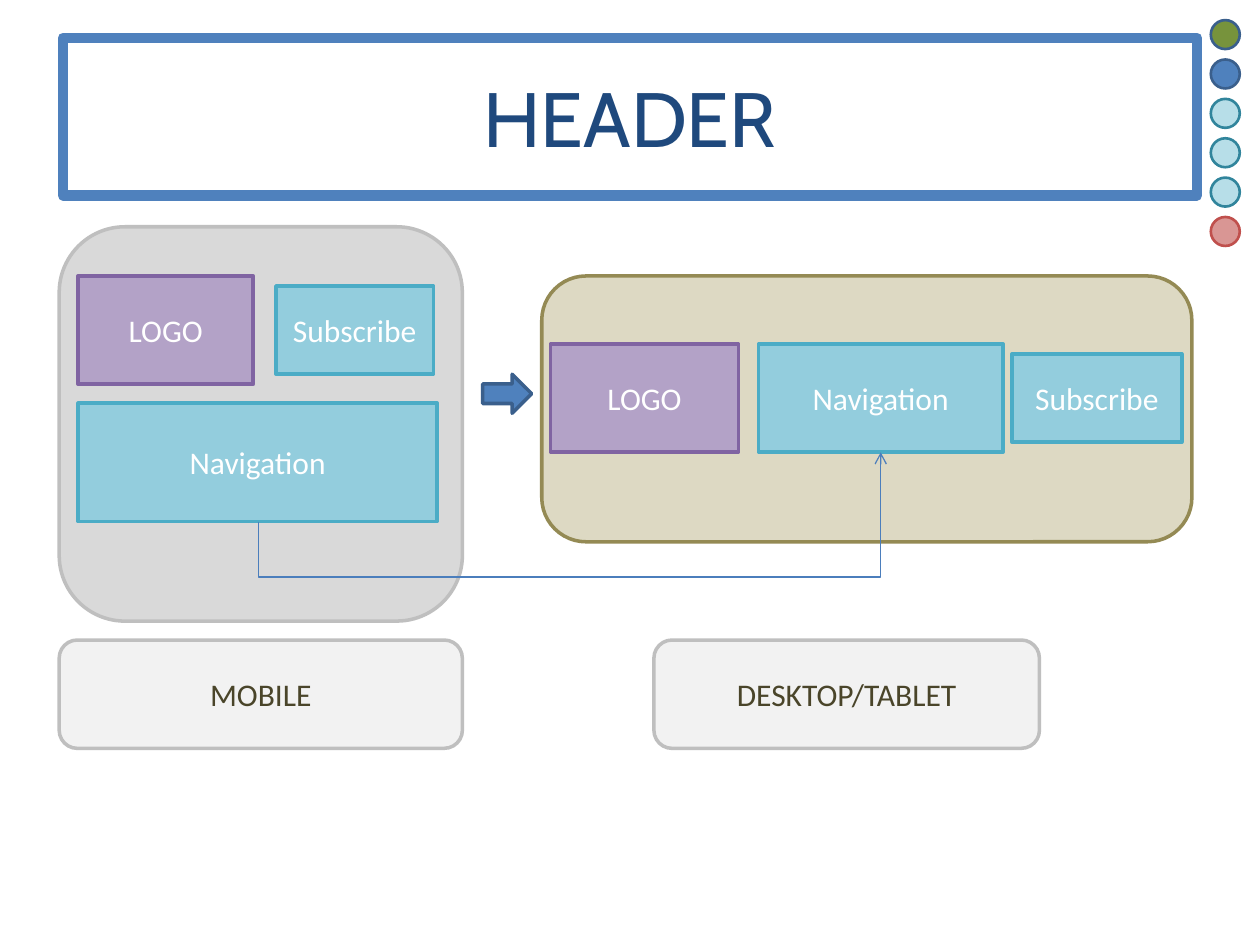
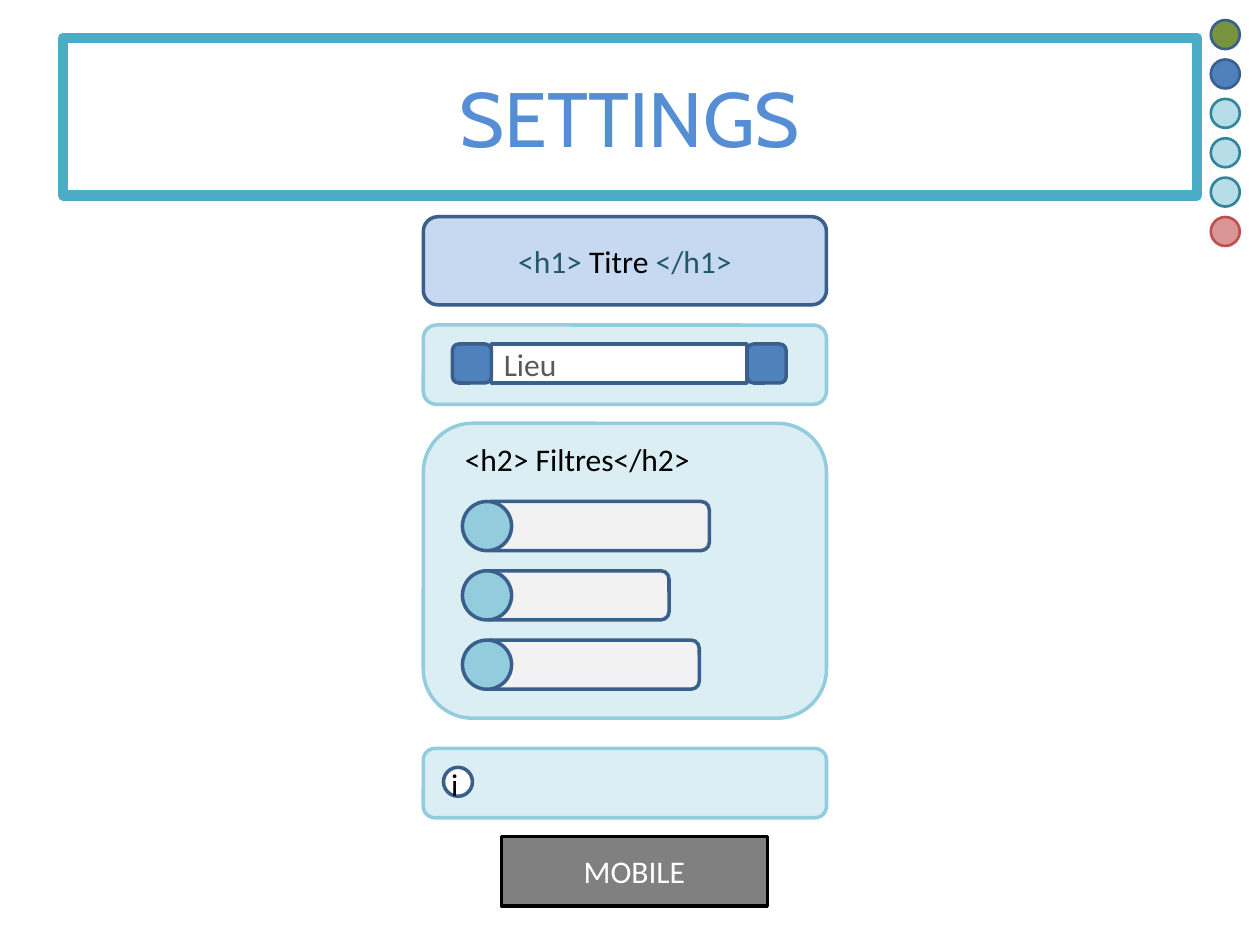
from lxml.etree import SubElement
from pptx import Presentation
from pptx.dml.color import RGBColor
from pptx.enum.shapes import MSO_CONNECTOR, MSO_SHAPE
from pptx.enum.text import MSO_ANCHOR, PP_ALIGN
from pptx.oxml.ns import qn
from pptx.util import Inches, Pt

RECT, ROUND = MSO_SHAPE.RECTANGLE, MSO_SHAPE.ROUNDED_RECTANGLE
OVAL, ARROW = MSO_SHAPE.OVAL, MSO_SHAPE.RIGHT_ARROW

WHITE = RGBColor(0xFF, 0xFF, 0xFF)
BLACK = RGBColor(0, 0, 0)
BLUE = RGBColor(0x4F, 0x81, 0xBD)
BLUE_EDGE = RGBColor(0x3A, 0x5F, 0x8C)
CONNECTOR_BLUE = RGBColor(0x4B, 0x7E, 0xBC)
NAVY = RGBColor(0x1F, 0x49, 0x7D)
SKY = RGBColor(0x55, 0x8E, 0xD5)
PALE_BLUE = RGBColor(0xC6, 0xD9, 0xF1)
AQUA = RGBColor(0x4B, 0xAC, 0xC6)
AQUA_MID = RGBColor(0x93, 0xCD, 0xDD)
AQUA_LIGHT = RGBColor(0xB7, 0xDE, 0xE8)
AQUA_PALE = RGBColor(0xDB, 0xEE, 0xF4)
AQUA_DARK = RGBColor(0x31, 0x85, 0x9C)
TEAL = RGBColor(0x21, 0x59, 0x68)
GREEN = RGBColor(0x77, 0x93, 0x3C)
PINK = RGBColor(0xD9, 0x96, 0x94)
RED = RGBColor(0xC0, 0x50, 0x4D)
LILAC = RGBColor(0xB3, 0xA2, 0xC7)
PURPLE = RGBColor(0x80, 0x64, 0xA2)
TAN = RGBColor(0xDD, 0xD9, 0xC3)
OLIVE = RGBColor(0x94, 0x8A, 0x54)
DARK_OLIVE = RGBColor(0x4A, 0x45, 0x2A)
OFF_WHITE = RGBColor(0xF2, 0xF2, 0xF2)
LIGHT_GREY = RGBColor(0xD9, 0xD9, 0xD9)
EDGE_GREY = RGBColor(0xBF, 0xBF, 0xBF)
GREY = RGBColor(0x80, 0x80, 0x80)
TEXT_GREY = RGBColor(0x59, 0x59, 0x59)

DOTS = [(GREEN, BLUE_EDGE), (BLUE, BLUE_EDGE), *[(AQUA_LIGHT, AQUA_DARK)] * 3, (PINK, RED)]


def write(sp, *runs, size=18, font="Calibri", align=PP_ALIGN.CENTER, anchor=MSO_ANCHOR.MIDDLE):
    """Fill a shape with one paragraph of (text, colour) runs."""
    tf = sp.text_frame
    tf.word_wrap = True
    tf.vertical_anchor = anchor
    p = tf.paragraphs[0]
    p.alignment = align
    for text, color in runs:
        r = p.add_run()
        r.text = text
        r.font.size, r.font.name = Pt(size), font
        r.font.color.rgb = color


def add_box(parent, kind, x, y, w, h, fill, line, *runs, weight=2, **style):
    sp = parent.shapes.add_shape(kind, Inches(x), Inches(y), Inches(w), Inches(h))
    sp.shadow.inherit = False
    sp.fill.solid()
    sp.fill.fore_color.rgb = fill
    sp.line.color.rgb = line
    sp.line.width = Pt(weight)
    if runs:
        write(sp, *runs, **style)
    return sp


def add_label(parent, x, y, w, h, text):
    sp = parent.shapes.add_textbox(Inches(x), Inches(y), Inches(w), Inches(h))
    write(sp, (text, BLACK), align=PP_ALIGN.LEFT, anchor=MSO_ANCHOR.TOP)


def add_title(s, text, color, line):
    add_box(s, RECT, 0.5, 0.3, 9, 1.25, WHITE, line, (text, color),
            weight=6, size=44, font="Cabin")


def add_dots(s, x=9.61, y=0.16, step=0.3125):
    for i, (fill, line) in enumerate(DOTS):
        add_box(s, OVAL, x, y + i * step, 0.23, 0.23, fill, line, weight=1.5)


# Parts of the page header wireframe
def add_logo(parent, x, y, w):
    add_box(parent, RECT, x, y, w, 0.86, LILAC, PURPLE, ("LOGO", WHITE))


def add_control(parent, x, y, w, h, text):
    add_box(parent, RECT, x, y, w, h, AQUA_MID, AQUA, (text, WHITE))


def add_device_name(parent, x, y, w, text):
    add_box(parent, ROUND, x, y, w, 0.86, OFF_WHITE, EDGE_GREY, (text, DARK_OLIVE))


def add_mobile(s, x, y, w, h):
    group = s.shapes.add_group_shape()
    add_box(group, ROUND, x, y, w, h, LIGHT_GREY, EDGE_GREY)
    add_logo(group, x + 0.15, y + 0.39, 1.39)
    add_control(group, x + 1.72, y + 0.47, 1.25, 0.7, "Subscribe")
    add_control(group, x + 0.15, y + 1.4, 2.85, 0.94, "Navigation")
    add_device_name(group, x, y + h + 0.15, w, "MOBILE")


def add_desktop(s, x, y, w, h):
    group = s.shapes.add_group_shape()
    add_box(group, ROUND, x, y, w, h, TAN, OLIVE)
    add_logo(group, x + 0.07, y + 0.54, 1.49)
    add_control(group, x + 3.73, y + 0.62, 1.35, 0.7, "Subscribe")
    add_control(group, x + 1.72, y + 0.54, 1.94, 0.86, "Navigation")
    add_device_name(group, x + 0.89, y + h + 0.78, 3.06, "DESKTOP/TABLET")


def add_u_connector(s, x1, y1, x2, y2, drop):
    """Run down from the start by drop, across, and up to an arrowhead at the end."""
    cx, cy = (x1 + x2) / 2, (y1 + y2) / 2
    half_w, half_h = (y1 - y2) / 2, (x2 - x1) / 2
    # The elbow is laid out on its side, then turned a quarter
    c = s.shapes.add_connector(MSO_CONNECTOR.ELBOW, Inches(cx + half_w), Inches(cy + half_h),
                               Inches(cx - half_w), Inches(cy - half_h))
    c.line.color.rgb = CONNECTOR_BLUE
    c.line.width = Pt(0.75)
    props = c._element.spPr
    props.find(qn("a:xfrm")).set("rot", "5400000")
    guides = props.find(qn("a:prstGeom")).find(qn("a:avLst"))
    bend = round(-drop / (y1 - y2) * 100000)
    SubElement(guides, qn("a:gd"), name="adj1", fmla=f"val {bend}")
    SubElement(props.find(qn("a:ln")), qn("a:tailEnd"), type="arrow")
    SubElement(props, qn("a:effectLst"))


# Parts of the settings wireframe
def add_panel(parent, x, y, w, h):
    add_box(parent, ROUND, x, y, w, h, AQUA_PALE, AQUA_MID)


def add_place_field(s, x, y, w, h):
    group = s.shapes.add_group_shape()
    add_panel(group, x, y, w, h)
    side, field_w = 0.31, 2.03
    left, top = x + 0.23, y + 0.15
    add_box(group, RECT, left + side, top, field_w, side, WHITE, BLUE_EDGE,
            ("Lieu", TEXT_GREY), align=PP_ALIGN.LEFT)
    for button_x in (left, left + side + field_w):
        add_box(group, ROUND, button_x, top, side, side, BLUE, BLUE_EDGE)


def add_filters(s, x, y, w, h):
    group = s.shapes.add_group_shape()
    add_panel(group, x, y, w, h)
    add_label(group, x + 0.23, y + 0.08, 2.11, 0.4, "<h2> Filtres</h2>")
    for i, bar_w in enumerate((1.8, 1.48, 1.72)):
        top = y + 0.62 + i * 0.55
        add_box(group, ROUND, x + 0.47, top, bar_w, 0.39, OFF_WHITE, BLUE_EDGE)
        add_box(group, OVAL, x + 0.31, top, 0.39, 0.39, AQUA_MID, BLUE_EDGE)


def add_info(s, x, y, w, h):
    add_panel(s, x, y, w, h)
    add_box(s, OVAL, x + 0.16, y + 0.15, 0.23, 0.23, WHITE, BLUE_EDGE)
    add_label(s, x + 0.16, y + 0.08, 0.16, 0.4, "i")


def header_slide(s):
    add_title(s, "HEADER", NAVY, BLUE)
    add_box(s, ARROW, 3.83, 2.97, 0.39, 0.31, BLUE, BLUE_EDGE)
    add_mobile(s, 0.47, 1.8, 3.2, 3.13)
    add_desktop(s, 4.3, 2.19, 5.16, 2.11)
    add_u_connector(s, 2.05, 4.14, 6.99, 3.59, drop=0.44)


def settings_slide(s):
    x, w = 3.36, 3.2
    add_title(s, "SETTINGS", SKY, AQUA)
    add_box(s, ROUND, x, 1.72, w, 0.7, PALE_BLUE, BLUE_EDGE,
            ("<h1> ", TEAL), ("Titre ", BLACK), ("</h1>", TEAL))
    add_place_field(s, x, 2.58, w, 0.63)
    add_filters(s, x, 3.36, w, 2.34)
    add_info(s, x, 5.94, w, 0.55)
    add_box(s, RECT, 3.98, 6.64, 2.11, 0.55, GREY, BLACK, ("MOBILE", WHITE))


def main():
    prs = Presentation()
    prs.slide_width, prs.slide_height = Inches(10), Inches(7.5)
    for build in (header_slide, settings_slide):
        s = prs.slides.add_slide(prs.slide_layouts[6])
        build(s)
        add_dots(s)
    prs.save("out.pptx")


if __name__ == "__main__":
    main()
